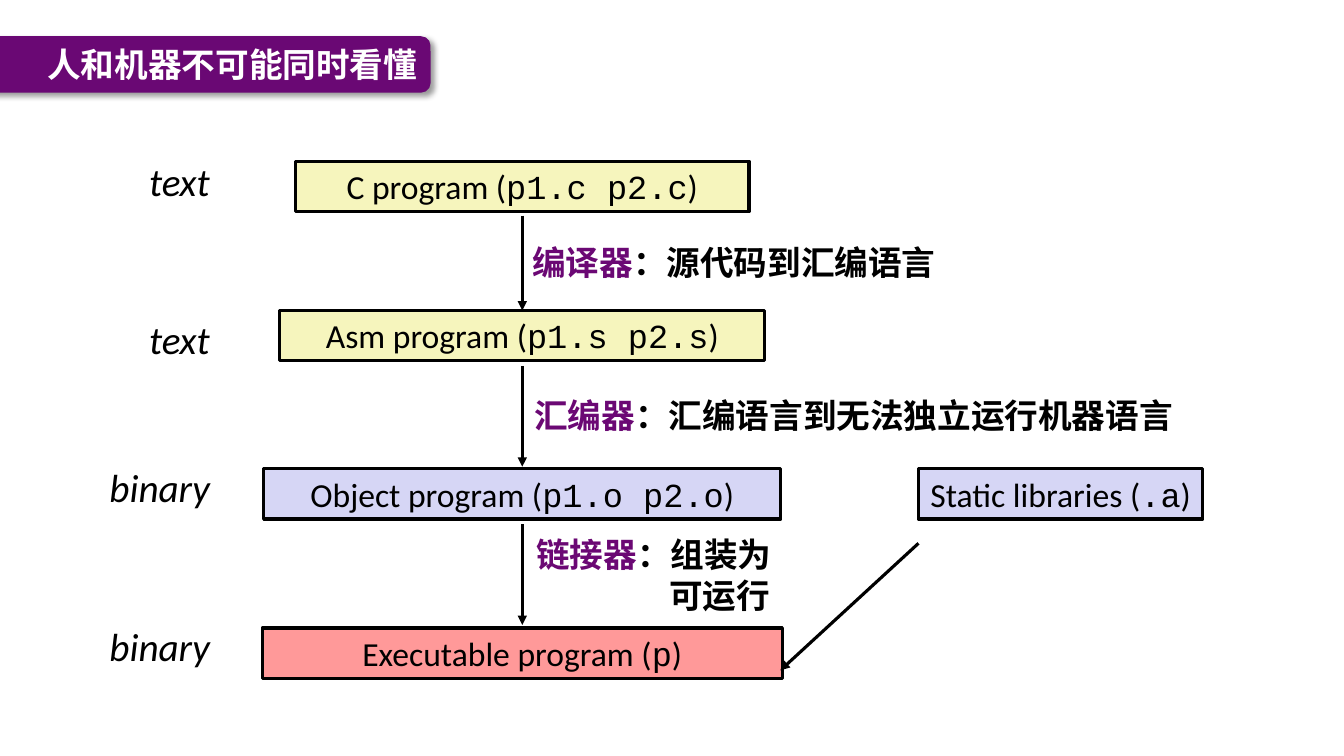
from dataclasses import dataclass

from lxml.etree import SubElement
from pptx import Presentation
from pptx.dml.color import RGBColor
from pptx.enum.shapes import MSO_CONNECTOR, MSO_SHAPE
from pptx.enum.text import MSO_ANCHOR, MSO_AUTO_SIZE, PP_ALIGN
from pptx.oxml.ns import qn
from pptx.util import Inches, Pt

BLACK = RGBColor(0x00, 0x00, 0x00)
WHITE = RGBColor(0xFF, 0xFF, 0xFF)
BAND_PURPLE = RGBColor(0x6A, 0x08, 0x74)
TOOL_PURPLE = RGBColor(0x6B, 0x08, 0x74)
YELLOW = RGBColor(0xF6, 0xF5, 0xBD)
LAVENDER = RGBColor(0xD6, 0xD6, 0xF5)
RED = RGBColor(0xFF, 0x99, 0x99)

BODY = "Calibri"
CODE = "Courier New"
CHINESE = "Noto Sans CJK SC"

FLOW_CENTER = 5.18
LABEL_RIGHT = 2.18
BOX_HEIGHT = 0.5


@dataclass
class Stage:
    name: str
    files: str
    center: float
    top: float
    width: float
    fill: RGBColor


@dataclass
class Label:
    text: str
    top: float
    width: float


@dataclass
class Tool:
    name: str
    lines: list[str]
    left: float
    top: float
    width: float
    height: float


@dataclass
class Arrow:
    start: tuple[float, float]
    end: tuple[float, float]


STAGES = [
    Stage("C program", "p1.c p2.c", FLOW_CENTER, 1.6, 4.5, YELLOW),
    Stage("Asm program", "p1.s p2.s", FLOW_CENTER, 3.08, 4.81, YELLOW),
    Stage("Object program", "p1.o p2.o", FLOW_CENTER, 4.65, 5.13, LAVENDER),
    Stage("Executable program", "p", FLOW_CENTER, 6.23, 5.16, RED),
    Stage("Static libraries", ".a", 10.52, 4.65, 2.82, LAVENDER),
]
LABELS = [
    Label("text", 1.51, 1),
    Label("text", 3.08, 1),
    Label("binary", 4.55, 1.38),
    Label("binary", 6.12, 1.38),
]
TOOLS = [
    Tool("编译器", ["：源代码到汇编语言"], 5.18, 2.35, 4.98, 0.5),
    Tool("汇编器", ["：汇编语言到无法独立运行机器语言"], 5.2, 3.87, 7.33, 0.5),
    Tool("链接器", ["：组装为", "可运行"], 5.22, 5.25, 2.99, 0.99),
]
COMPILE_ARROW = Arrow((FLOW_CENTER, 2.14), (FLOW_CENTER, 3.08))
OTHER_ARROWS = [
    Arrow((FLOW_CENTER, 3.63), (FLOW_CENTER, 4.63)),
    Arrow((FLOW_CENTER, 5.2), (FLOW_CENTER, 6.2)),
    Arrow((9.11, 5.39), (7.74, 6.65)),
]


def style_span(span, size: float, name: str, color: RGBColor,
               bold: bool = False, italic: bool = False) -> None:
    font = span.font
    font.size, font.name, font.bold, font.italic = Pt(size), name, bold, italic
    font.color.rgb = color
    if name == CHINESE:
        SubElement(span._r.get_or_add_rPr(), qn("a:ea"), typeface=name)


def add_span(para, text: str, size: float, name: str, color: RGBColor,
             bold: bool = False) -> None:
    span = para.add_run()
    span.text = text
    style_span(span, size, name, color, bold)


def add_text_frame(page, left: float, top: float, width: float, height: float):
    box = page.shapes.add_textbox(Inches(left), Inches(top), Inches(width), Inches(height))
    frame = box.text_frame
    frame.word_wrap = True
    frame.auto_size = MSO_AUTO_SIZE.SHAPE_TO_FIT_TEXT
    return frame


def draw_title(page, text: str) -> None:
    band = page.shapes.add_shape(
        MSO_SHAPE.ROUNDED_RECTANGLE, Inches(-0.81), Inches(0.36), Inches(5.08), Inches(0.56))
    band.fill.solid()
    band.fill.fore_color.rgb = BAND_PURPLE
    band.line.fill.background()
    band.shadow.inherit = False
    effects = band.element.spPr.find(qn("a:effectLst"))
    shadow = SubElement(effects, qn("a:outerShdw"), blurRad=str(Pt(4)), dist=str(Pt(3)),
                        dir="2700000", algn="tl", rotWithShape="0")
    color = SubElement(shadow, qn("a:srgbClr"), val=str(BLACK))
    SubElement(color, qn("a:alpha"), val="40000")

    title = page.shapes.title
    title.left, title.top = Inches(0.37), Inches(0.36)
    title.width, title.height = Inches(3.9), Inches(0.55)
    frame = title.text_frame
    frame.text = text
    frame.word_wrap = True
    frame.auto_size = MSO_AUTO_SIZE.NONE
    frame.vertical_anchor = MSO_ANCHOR.MIDDLE
    para = frame.paragraphs[0]
    para.alignment = PP_ALIGN.LEFT
    style_span(para.runs[0], 24, CHINESE, WHITE, bold=True)
    title.element.addprevious(band.element)


def draw_stage(page, stage: Stage):
    box = page.shapes.add_shape(
        MSO_SHAPE.RECTANGLE, Inches(stage.center - stage.width / 2), Inches(stage.top),
        Inches(stage.width), Inches(BOX_HEIGHT))
    box.shadow.inherit = False
    box.fill.solid()
    box.fill.fore_color.rgb = stage.fill
    box.line.color.rgb = BLACK
    box.line.width = Pt(2.25)
    frame = box.text_frame
    frame.word_wrap = True
    frame.auto_size = MSO_AUTO_SIZE.SHAPE_TO_FIT_TEXT
    frame.vertical_anchor = MSO_ANCHOR.TOP
    para = frame.paragraphs[0]
    para.alignment = PP_ALIGN.CENTER
    for text, name in ((f"{stage.name} (", BODY), (stage.files, CODE), (")", BODY)):
        add_span(para, text, 24, name, BLACK)
    return box


def draw_label(page, label: Label) -> None:
    frame = add_text_frame(page, LABEL_RIGHT - label.width, label.top, label.width, 0.57)
    frame.text = label.text
    para = frame.paragraphs[0]
    para.alignment = PP_ALIGN.RIGHT
    style_span(para.runs[0], 28, BODY, BLACK, italic=True)


def draw_tool(page, tool: Tool) -> None:
    frame = add_text_frame(page, tool.left, tool.top, tool.width, tool.height)
    para = frame.paragraphs[0]
    add_span(para, tool.name, 24, CHINESE, TOOL_PURPLE, bold=True)
    add_span(para, tool.lines[0], 24, CHINESE, BLACK, bold=True)
    for line in tool.lines[1:]:
        para = frame.add_paragraph()
        para._p.get_or_add_pPr().set("indent", str(Inches(1.32)))
        add_span(para, line, 24, CHINESE, BLACK, bold=True)


def draw_arrow(page, arrow: Arrow):
    points = [Inches(value) for value in (*arrow.start, *arrow.end)]
    connector = page.shapes.add_connector(MSO_CONNECTOR.STRAIGHT, *points)
    connector.line.color.rgb = BLACK
    connector.line.width = Pt(2.25)
    SubElement(connector.line._get_or_add_ln(), qn("a:tailEnd"), type="triangle")
    SubElement(connector.element.spPr, qn("a:effectLst"))
    return connector


def main() -> None:
    deck = Presentation()
    deck.slide_width, deck.slide_height = Inches(13.33), Inches(7.5)
    page = deck.slides.add_slide(deck.slide_layouts[5])
    draw_title(page, "人和机器不可能同时看懂")
    for label in LABELS:
        draw_label(page, label)
    for tool in TOOLS:
        draw_tool(page, tool)
    boxes = [draw_stage(page, stage) for stage in STAGES]
    draw_arrow(page, COMPILE_ARROW).end_connect(boxes[1], 0)
    for arrow in OTHER_ARROWS:
        draw_arrow(page, arrow)
    deck.save("out.pptx")


if __name__ == "__main__":
    main()
